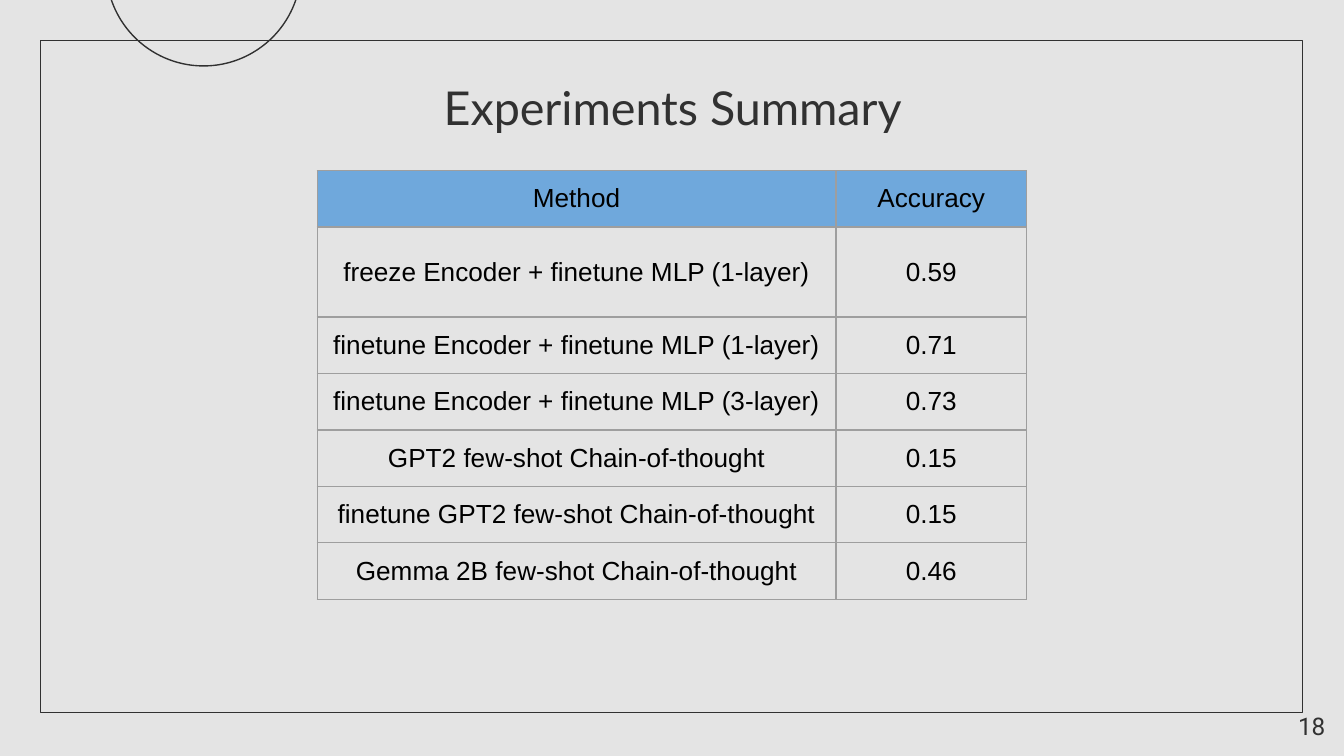
import pptx
import pptx.util
import pptx.dml.color
import pptx.enum.shapes
import pptx.enum.text
import pptx.oxml
import pptx.oxml.ns
from pptx.util import Inches

COLORS = {"background": "E4E4E4", "ink": "313131", "header": "6FA8DC",
          "border": "9E9E9E", "cell_text": "000000"}
ALIGN = pptx.enum.text.PP_ALIGN


def rgb(name):
    return pptx.dml.color.RGBColor.from_string(COLORS[name])


def write(text_frame, text, font, size, color, alignment):
    text_frame.text = text
    paragraph = text_frame.paragraphs[0]
    paragraph.alignment = alignment
    run_font = paragraph.runs[0].font
    run_font.name = font
    run_font.size = pptx.util.Pt(size)
    run_font.color.rgb = rgb(color)


presentation = pptx.Presentation()
presentation.slide_width = Inches(10)
presentation.slide_height = Inches(10) * 9 // 16
slide = presentation.slides.add_slide(presentation.slide_layouts[6])
slide.background.fill.solid()
slide.background.fill.fore_color.rgb = rgb("background")

SHAPES = pptx.enum.shapes.MSO_SHAPE
frame = slide.shapes.add_shape(SHAPES.RECTANGLE, Inches(0.3), Inches(0.3), Inches(9.39), Inches(5))
arc = slide.shapes.add_shape(SHAPES.CHORD, Inches(0.79), Inches(-0.96), Inches(1.45), Inches(1.45))
arc.rotation = 270
arc.adjustments[0] = 53.53
arc.adjustments[1] = 162.3
for shape in (frame, arc):
    shape.shadow.inherit = False
    shape.fill.background()
    shape.line.color.rgb = rgb("ink")
    shape.line.width = pptx.util.Pt(0.75)

labels = [
    ("Experiments Summary", 0.79, 0.49, 8.43, 0.56, "Lato", 25, ALIGN.CENTER),
    ("18", 9.36, 5.19, 0.6, 0.43, "Roboto", 13, ALIGN.RIGHT),
]
for text, left, top, width, height, font, size, alignment in labels:
    box = slide.shapes.add_textbox(Inches(left), Inches(top), Inches(width), Inches(height))
    text_frame = box.text_frame
    text_frame.word_wrap = True
    text_frame.margin_left = text_frame.margin_right = Inches(0.1)
    text_frame.margin_top = text_frame.margin_bottom = Inches(0.1)
    write(text_frame, text, font, size, "ink", alignment)

results = [
    ("Method", "Accuracy"),
    ("freeze Encoder + finetune MLP (1-layer)", "0.59"),
    ("finetune Encoder + finetune MLP (1-layer)", "0.71"),
    ("finetune Encoder + finetune MLP (3-layer)", "0.73"),
    ("GPT2 few-shot Chain-of-thought", "0.15"),
    ("finetune GPT2 few-shot Chain-of-thought", "0.15"),
    ("Gemma 2B few-shot Chain-of-thought", "0.46"),
]
table = slide.shapes.add_table(len(results), 2, Inches(2.36), Inches(1.27),
                               Inches(5.28), Inches(3.19)).table
table.first_row = False
table.horz_banding = False
table.columns[0].width = Inches(3.86)
table.columns[1].width = Inches(1.42)
for row_index, values in enumerate(results):
    table.rows[row_index].height = Inches(0.67 if row_index == 1 else 0.42)
    for column_index, value in enumerate(values):
        cell = table.cell(row_index, column_index)
        cell.margin_left = cell.margin_right = Inches(0.1)
        cell.margin_top = cell.margin_bottom = Inches(0.09)
        cell.vertical_anchor = pptx.enum.text.MSO_ANCHOR.MIDDLE
        write(cell.text_frame, value, "Arial", 14, "cell_text", ALIGN.CENTER)
        properties = cell._tc.get_or_add_tcPr()
        for side in ("lnL", "lnR", "lnT", "lnB"):
            properties.append(pptx.oxml.parse_xml(
                f'<a:{side} {pptx.oxml.ns.nsdecls("a")} w="{pptx.util.Pt(0.75)}"><a:solidFill>'
                f'<a:srgbClr val="{COLORS["border"]}"/></a:solidFill></a:{side}>'))
        if row_index == 0:
            cell.fill.solid()
            cell.fill.fore_color.rgb = rgb("header")
        else:
            cell.fill.background()

presentation.save("out.pptx")
